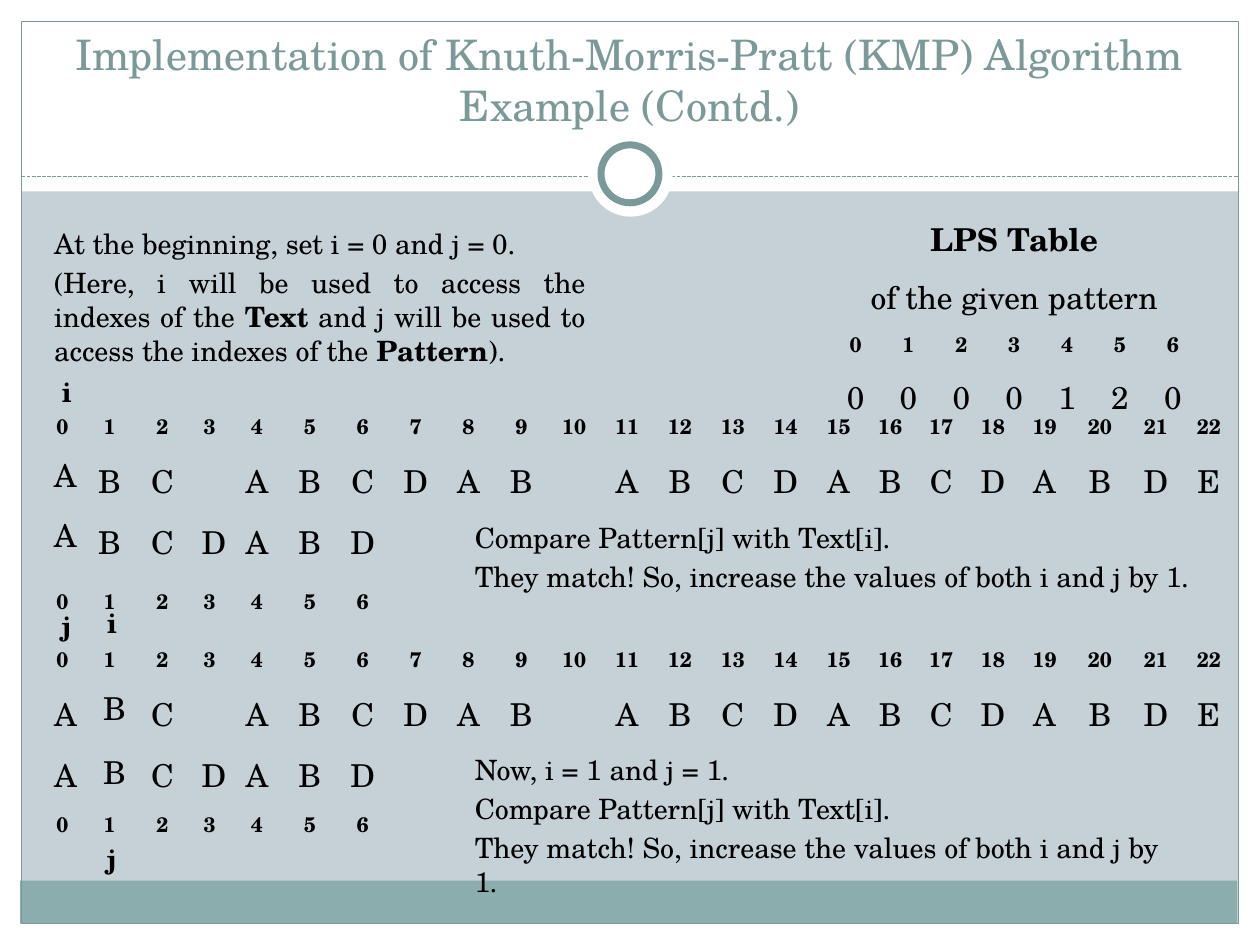
from pptx import Presentation
from pptx.dml.color import RGBColor
from pptx.enum.dml import MSO_LINE
from pptx.enum.shapes import MSO_CONNECTOR, MSO_SHAPE
from pptx.enum.text import MSO_ANCHOR, MSO_AUTO_SIZE, PP_ALIGN
from pptx.oxml.ns import qn
from pptx.util import Inches, Pt
from lxml.etree import SubElement

FONT = "TeX Gyre Schola"
INK, TEAL = "000000", "7C999A"
NO_STYLE = "{2D5ABB26-0587-4C30-8999-92F81FD0307C}"
TEXT, PATTERN = "ABC ABCDAB ABCDABCDABDE", "ABCDABD"


def rgb(color):
    return RGBColor.from_string(color)


def style(p, size, color=INK, bold=False, align=PP_ALIGN.LEFT, before=0):
    p.alignment = align
    p.space_before = Pt(before)
    for r in p.runs:
        r.font.name = FONT
        r.font.size = Pt(size)
        r.font.bold = bold
        r.font.color.rgb = rgb(color)


prs = Presentation()
prs.slide_width, prs.slide_height = Inches(10), Inches(7.5)
s = prs.slides.add_slide(prs.slide_layouts[1])
s.background.fill.solid()
s.background.fill.fore_color.rgb = rgb("C5D1D7")

# Frame: white margins, bottom band, outline, dashed rule and ring
rule = None
for kind, x, y, w, h, fill, line in [
    (MSO_SHAPE.RECTANGLE, 0, 7.33, 10, 0.17, "FFFFFF", None),
    (MSO_SHAPE.RECTANGLE, 0, 0, 10, 1.52, "FFFFFF", None),
    (MSO_SHAPE.RECTANGLE, 0, 0, 0.17, 7.5, "FFFFFF", None),
    (MSO_SHAPE.RECTANGLE, 9.83, 0, 0.17, 7.5, "FFFFFF", None),
    (MSO_SHAPE.RECTANGLE, 0.16, 6.99, 9.66, 0.34, "8CADAE", None),
    (MSO_SHAPE.RECTANGLE, 0.17, 0.17, 9.66, 7.16, None, 0.75),
    (MSO_SHAPE.OVAL, 4.67, 1.05, 0.67, 0.67, "FFFFFF", None),
    (MSO_SHAPE.OVAL, 4.77, 1.15, 0.46, 0.46, "FFFFFF", 4),
]:
    if kind == MSO_SHAPE.OVAL and rule is None:  # the rule runs behind the ring
        rule = s.shapes.add_connector(MSO_CONNECTOR.STRAIGHT, Inches(0.17),
                                      Inches(1.4), Inches(9.83), Inches(1.4))
        rule.line.color.rgb = rgb(TEAL)
        rule.line.width = Pt(0.75)
        rule.line.dash_style = MSO_LINE.SQUARE_DOT
        SubElement(rule._element.spPr, qn("a:effectLst"))
    sp = s.shapes.add_shape(kind, Inches(x), Inches(y), Inches(w), Inches(h))
    sp.shadow.inherit = False
    if fill:
        sp.fill.solid()
        sp.fill.fore_color.rgb = rgb(fill)
    else:
        sp.fill.background()
    if line:
        sp.line.color.rgb = rgb(TEAL)
        sp.line.width = Pt(line)
    else:
        sp.line.fill.background()

# Title and introduction, brought in front of the frame
title, body = s.placeholders
for sp, x, y, w, h in [(title, 0.33, 0.25, 9.33, 0.83),
                       (body, 0.33, 1.75, 4.42, 1.25)]:
    s.shapes._spTree.append(sp._element)
    sp.left, sp.top, sp.width, sp.height = Inches(x), Inches(y), Inches(w), Inches(h)
    sp.text_frame.auto_size = MSO_AUTO_SIZE.NONE
title.text_frame.text = ("Implementation of Knuth-Morris-Pratt (KMP) Algorithm\v"
                         "Example (Contd.)")
title.text_frame.vertical_anchor = MSO_ANCHOR.BOTTOM
style(title.text_frame.paragraphs[0], 24, TEAL, align=PP_ALIGN.CENTER)

tf = body.text_frame
tf.text = "At the beginning, set i = 0 and j = 0."
p = tf.add_paragraph()
for part in ["(Here, i will be used to access the indexes of the ", "Text",
             " and j will be used to access the indexes of the ", "Pattern", ")."]:
    p.add_run().text = part
for p in tf.paragraphs:
    style(p, 16, align=PP_ALIGN.JUSTIFY, before=3.2)
    pPr = p._p.get_or_add_pPr()
    pPr.set("marL", "0")
    pPr.set("indent", "0")
    SubElement(pPr, qn("a:buNone"))
for r in p.runs[1::2]:
    r.font.bold = True

# Tables: text and pattern at each step (the compared letters float), then LPS
step_cols = ([0.33, 0.42, 0.42, 0.33] + [0.42] * 12
             + [0.4, 0.41, 0.41, 0.41, 0.47, 0.42, 0.42])
tables = []
for step, (top, last_row) in enumerate([(3.2, 0.48), (5.05, 0.28)]):
    letters = [[" " if i == step else c for i, c in enumerate(word)]
               for word in (TEXT, PATTERN)]
    rows = [[str(i) for i in range(len(TEXT))], *letters,
            [str(i) for i in range(len(PATTERN))]]
    tables.append((0.33, top, step_cols, [0.37, 0.5, 0.46, last_row],
                   rows, [12, 18, 18, 12]))
tables.append((6.58, 1.67, [0.42] * 7, [0.85, 0.33, 0.5],
               [["LPS Table\nof the given pattern"],
                [str(i) for i in range(7)], list("0000120")], [18, 12, 18]))
for x, y, cols, heights, rows, sizes in tables:
    tbl = s.shapes.add_table(len(rows), len(cols), Inches(x), Inches(y),
                             Inches(sum(cols)), Inches(sum(heights))).table
    tbl.first_row = tbl.horz_banding = False
    tbl._tbl.tblPr.find(qn("a:tableStyleId")).text = NO_STYLE
    for col, w in zip(tbl.columns, cols):
        col.width = Inches(w)
    for i, (row, h, size) in enumerate(zip(rows, heights, sizes)):
        tbl.rows[i].height = Inches(h)
        for j in range(len(cols)):
            cell = tbl.cell(i, j)
            cell.fill.background()
            cell.vertical_anchor = MSO_ANCHOR.MIDDLE
            cell.margin_top = cell.margin_bottom = Inches(0.03)
            text = row[j].strip() if j < len(row) else ""
            cell.text_frame.text = text
            for p in cell.text_frame.paragraphs:
                style(p, size, bold=size == 12, align=PP_ALIGN.CENTER)
                if not text:  # keeps empty cells from stretching the row
                    SubElement(p._p, qn("a:endParaRPr")).set("sz", "1200")

# LPS heading spans the table
tbl.cell(0, 0).merge(tbl.cell(0, 6))
heading, subheading = tbl.cell(0, 0).text_frame.paragraphs[:2]
heading.runs[0].font.bold = True
subheading.space_before = Pt(6)

# Compared letters, index markers and comments
compare = "Compare Pattern[j] with Text[i]."
match = "They match! So, increase the values of both i and j by 1."
for text, x, y, w, h, size, bold, before in [
    ("A", 0.33, 3.57, 0.37, 0.4, 18, False, 0),
    ("A", 0.33, 4.05, 0.37, 0.4, 18, False, 0),
    ("B", 0.72, 5.42, 0.37, 0.4, 18, False, 0),
    ("B", 0.72, 5.93, 0.37, 0.4, 18, False, 0),
    ("i", 0.39, 2.92, 0.28, 0.37, 16, True, 0),
    ("j", 0.39, 4.78, 0.28, 0.37, 16, True, 0),
    ("i", 0.75, 4.76, 0.28, 0.37, 16, True, 0),
    ("j", 0.75, 6.63, 0.28, 0.37, 16, True, 0),
    (f"{compare}\n{match}", 3.67, 4.08, 6.33, 0.92, 16, False, 3.2),
    (f"Now, i = 1 and j = 1.\n{compare}\n{match}",
     3.67, 5.92, 5.67, 1.33, 16, False, 3.2),
]:
    tf = s.shapes.add_textbox(Inches(x), Inches(y), Inches(w), Inches(h)).text_frame
    tf.word_wrap = True
    tf.text = text
    for p in tf.paragraphs:
        style(p, size, bold=bold, before=before)

prs.save("out.pptx")
